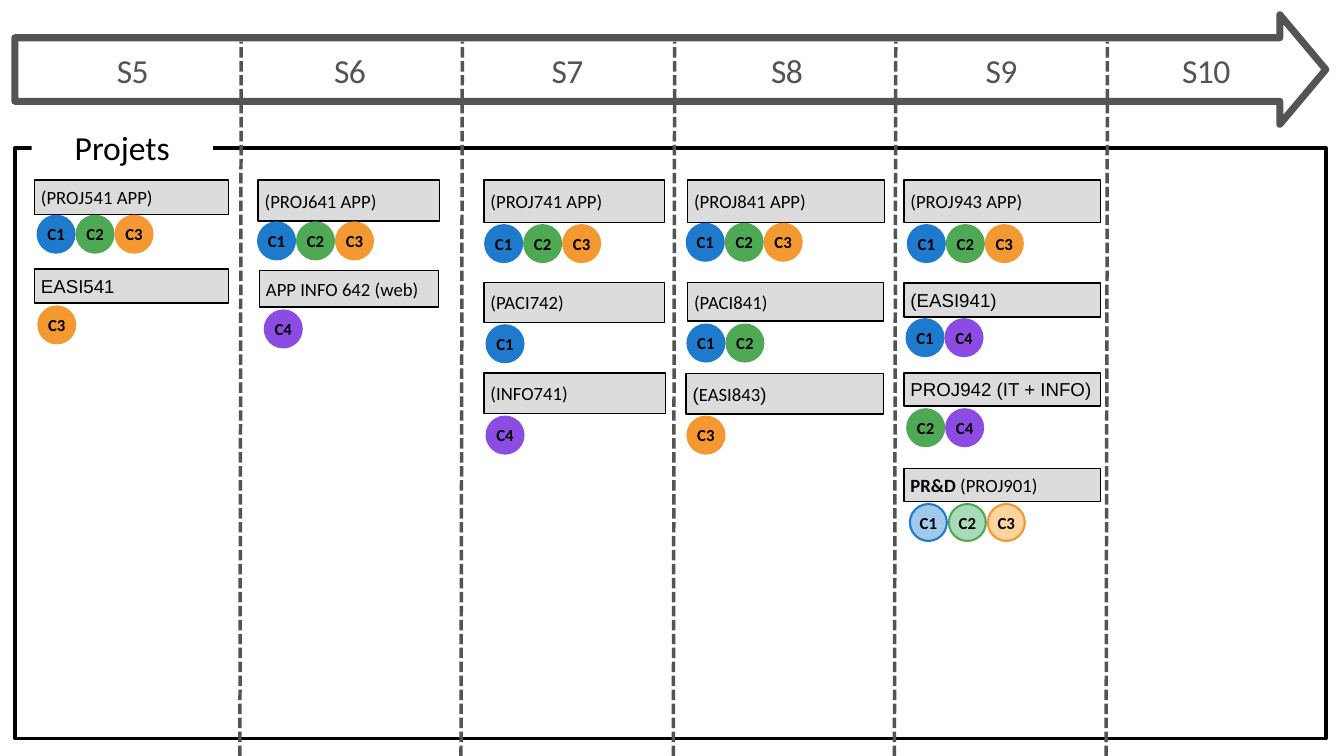
from dataclasses import dataclass, field

from pptx import Presentation
from pptx.dml.color import RGBColor
from pptx.enum.dml import MSO_LINE
from pptx.enum.shapes import MSO_CONNECTOR, MSO_SHAPE
from pptx.enum.text import MSO_ANCHOR, MSO_AUTO_SIZE, PP_ALIGN
from pptx.oxml.ns import qn
from pptx.util import Inches, Pt

ARROW, RECTANGLE, OVAL = MSO_SHAPE.RIGHT_ARROW, MSO_SHAPE.RECTANGLE, MSO_SHAPE.OVAL
STRAIGHT, DASH = MSO_CONNECTOR.STRAIGHT, MSO_LINE.SQUARE_DOT
MIDDLE, GROW = MSO_ANCHOR.MIDDLE, MSO_AUTO_SIZE.SHAPE_TO_FIT_TEXT
LEFT, CENTER = PP_ALIGN.LEFT, PP_ALIGN.CENTER


@dataclass(frozen=True)
class Theme:
    font: str = "Calibri"
    alt_font: str = "Arial"
    heading_size: float = 36
    project_size: float = 20
    badge_size: float = 18
    timeline: str = "545454"
    black: str = "000000"
    project_ink: str = "000005"
    bar: str = "DDDCDC"
    white: str = "FFFFFF"
    skills: dict = field(default_factory=lambda: {
        "C1": "1E7ACC", "C2": "4FA954", "C3": "F49831", "C4": "8C4BE2"})
    light_skills: dict = field(default_factory=lambda: {
        "C1": "A0C9EB", "C2": "A8DBBA", "C3": "FBD49E"})


THEME = Theme()
NO_MARGINS = {"margin_left": 0, "margin_top": 0, "margin_right": 0, "margin_bottom": 0}
BADGE_DIAMETER = 0.55
BADGE_STEP = 0.58
DIVIDER_TOP, DIVIDER_LEAN = 0.62, 0.02


@dataclass(frozen=True)
class Box:
    left: float
    top: float
    width: float
    height: float

    def lengths(self) -> list:
        return [Inches(v) for v in (self.left, self.top, self.width, self.height)]


@dataclass(frozen=True)
class Span:
    text: str
    font: str = THEME.font
    bold: bool = False


@dataclass(frozen=True)
class Semester:
    name: str
    left: float
    width: float


@dataclass(frozen=True)
class Project:
    spans: tuple
    bar: Box
    skills: str
    badge_left: float
    badge_top: float
    light: bool = False


SEMESTERS = [
    Semester("S5", 0.39, 3.17), Semester("S6", 3.56, 3.3), Semester("S7", 6.86, 3.17),
    Semester("S8", 10.1, 3.22), Semester("S9", 13.33, 3.15), Semester("S10", 16.47, 2.96),
]
DIVIDERS = [3.59, 6.88, 10.04, 13.33, 16.48]

PROJECTS = [
    Project((Span("(PROJ541 APP)"),), Box(0.51, 2.68, 2.89, 0.51), "C1 C2 C3", 0.56, 3.21),
    Project((Span("EASI541", THEME.alt_font),), Box(0.51, 4, 2.89, 0.51), "C3", 0.57, 4.56),
    Project((Span("(PROJ641 APP)"),), Box(3.84, 2.68, 2.7, 0.61), "C1 C2 C3", 3.84, 3.31),
    Project((Span("APP INFO 642 (web)"),), Box(3.86, 4.03, 2.67, 0.54), "C4", 3.94, 4.62),
    Project((Span("(PROJ741 APP)"),), Box(7.2, 2.68, 2.69, 0.63), "C1 C2 C3", 7.22, 3.35),
    Project((Span("(PACI742)"),), Box(7.2, 4.2, 2.69, 0.6), "C1", 7.24, 4.84),
    Project((Span("(INFO741)"),), Box(7.2, 5.55, 2.7, 0.6), "C4", 7.24, 6.2),
    Project((Span("(PROJ841 APP)"),), Box(10.23, 2.68, 2.93, 0.63), "C1 C2 C3", 10.22, 3.33),
    Project((Span("(PACI841)"),), Box(10.23, 4.2, 2.92, 0.58), "C1 C2", 10.23, 4.83),
    Project((Span("(", THEME.alt_font), Span("EASI843"), Span(")", THEME.alt_font)),
            Box(10.21, 5.56, 2.94, 0.6), "C3", 10.23, 6.2),
    Project((Span("(PROJ943 APP)"),), Box(13.45, 2.68, 2.93, 0.63), "C1 C2 C3", 13.51, 3.35),
    Project((Span("(EASI941)", THEME.alt_font),),
            Box(13.45, 4.21, 2.93, 0.51), "C1 C4", 13.49, 4.75),
    Project((Span("PROJ942 (IT + INFO)", THEME.alt_font),),
            Box(13.45, 5.55, 2.93, 0.49), "C2 C4", 13.5, 6.09),
    Project((Span("PR&D ", bold=True), Span("(PROJ901)")),
            Box(13.45, 6.97, 2.93, 0.49), "C1 C2 C3", 13.54, 7.5, light=True),
]


def rgb(value: str) -> RGBColor:
    return RGBColor.from_string(value)


def set_values(target, values: dict) -> None:
    for name, value in values.items():
        setattr(target, name, value)


def add_figure(slide, kind, box: Box, fill: str = "", line: str = "", weight: float = 0):
    """Add a preset shape; an empty colour means no fill or no line."""
    figure = slide.shapes.add_shape(kind, *box.lengths())
    figure.shadow.inherit = False
    if fill:
        figure.fill.solid()
        figure.fill.fore_color.rgb = rgb(fill)
    else:
        figure.fill.background()
    if line:
        figure.line.color.rgb = rgb(line)
        figure.line.width = Pt(weight)
    else:
        figure.line.fill.background()
    return figure


def write(figure, spans: tuple, size: float, color: str, align=CENTER, **frame_values):
    frame = figure.text_frame
    set_values(frame, {"word_wrap": True, "vertical_anchor": MIDDLE, **frame_values})
    paragraph = frame.paragraphs[0]
    paragraph.alignment = align
    for span in spans:
        run = paragraph.add_run()
        run.text = span.text
        set_values(run.font, {"name": span.font, "size": Pt(size), "bold": span.bold})
        run.font.color.rgb = rgb(color)
    return paragraph


def add_divider(slide, top_x: float, bottom: float) -> None:
    divider = slide.shapes.add_connector(
        STRAIGHT, Inches(top_x - DIVIDER_LEAN), Inches(bottom),
        Inches(top_x), Inches(DIVIDER_TOP))
    divider.line.color.rgb = rgb(THEME.timeline)
    set_values(divider.line, {"width": Pt(3.75), "dash_style": DASH})
    properties = divider._element.spPr
    properties.append(properties.makeelement(qn("a:effectLst"), {}))


def add_semester(slide, semester: Semester) -> None:
    label = slide.shapes.add_textbox(*Box(semester.left, 0.7, semester.width, 0.63).lengths())
    paragraph = write(label, (Span(semester.name),), THEME.heading_size, THEME.timeline,
                      auto_size=GROW, **{**NO_MARGINS, "vertical_anchor": MSO_ANCHOR.TOP})
    paragraph.line_spacing = Pt(46.8)
    paragraph.runs[0]._r.get_or_add_rPr().set("spc", "-70")


def add_project(slide, project: Project) -> None:
    """Draw the project bar and the skill badges below it."""
    bar = add_figure(slide, RECTANGLE, project.bar, THEME.bar, THEME.black, 1.5)
    write(bar, project.spans, THEME.project_size, THEME.project_ink, LEFT)
    fills = THEME.light_skills if project.light else THEME.skills
    for index, skill in enumerate(project.skills.split()):
        place = Box(project.badge_left + index * BADGE_STEP, project.badge_top,
                    BADGE_DIAMETER, BADGE_DIAMETER)
        badge = add_figure(slide, OVAL, place, fills[skill], THEME.skills[skill], 2.25)
        write(badge, (Span(skill, bold=True),), THEME.badge_size, THEME.black, **NO_MARGINS)


def main() -> None:
    deck = Presentation()
    set_values(deck, {"slide_width": Inches(20), "slide_height": Inches(11.25)})
    slide = deck.slides.add_slide(deck.slide_layouts[6])

    timeline = add_figure(slide, ARROW, Box(0.22, 0.22, 19.51, 1.63),
                          line=THEME.timeline, weight=7.5)
    timeline.adjustments[0] = 0.58
    timeline.adjustments[1] = 0.42
    add_figure(slide, RECTANGLE, Box(0.22, 2.2, 19.51, 8.79), line=THEME.black, weight=3.75)

    for top_x in DIVIDERS:
        add_divider(slide, top_x, 11.25)
    for semester in SEMESTERS:
        add_semester(slide, semester)

    heading = add_figure(slide, RECTANGLE, Box(0.47, 1.88, 2.7, 0.61), THEME.white)
    write(heading, (Span("Projets"),), THEME.heading_size, THEME.black)
    for project in PROJECTS:
        add_project(slide, project)

    deck.save("out.pptx")


if __name__ == "__main__":
    main()
